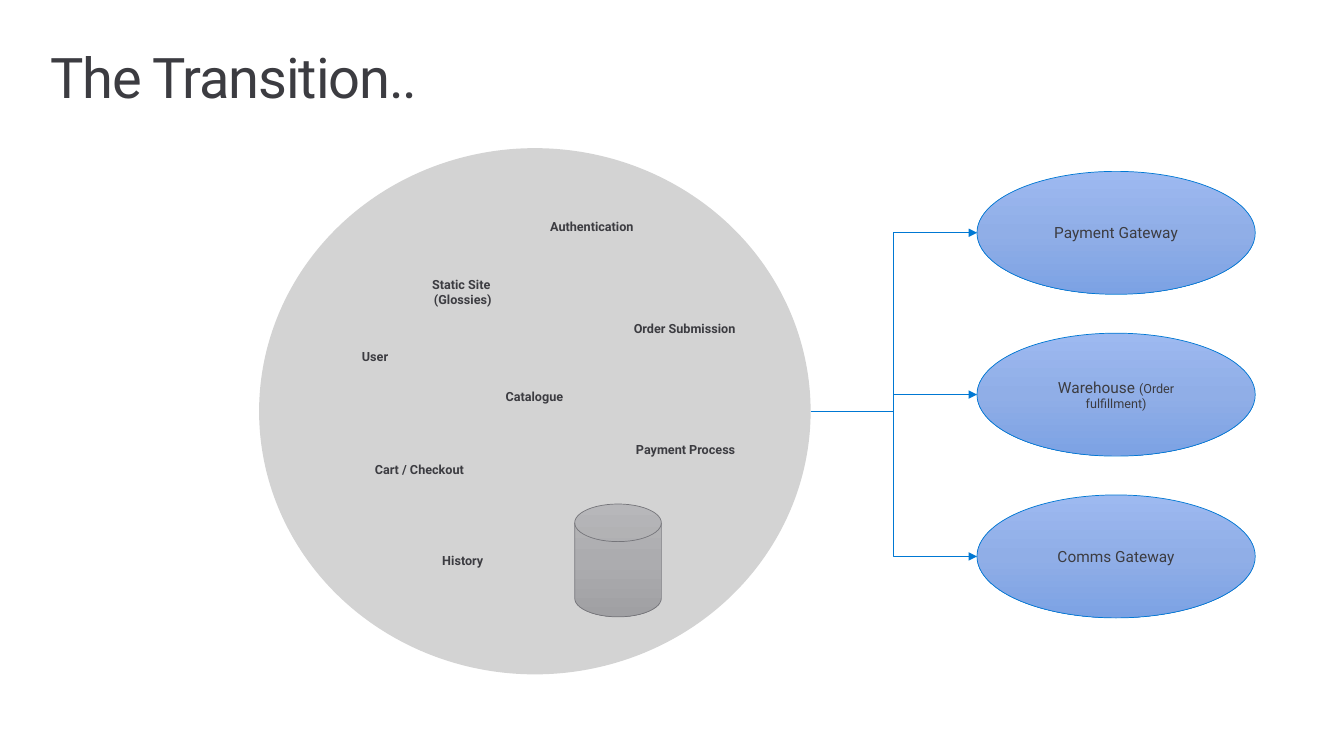
import copy

import pptx
import pptx.dml.color
import pptx.enum.shapes
import pptx.enum.text
import pptx.oxml
import pptx.oxml.ns
import pptx.util

PX = 9144
FONT = "Roboto"
INK = "3C3C41"
BLUE = "0078D3"
GREY = "D3D3D3"
BLUE_STOPS = ("9DB9F0", "90AEE7", "7CA2E4")
GREY_STOPS = ("B7B7BA", "ACACAF", "A0A0A3")
SHAPE = pptx.enum.shapes.MSO_SHAPE
ALIGN = pptx.enum.text.PP_ALIGN
ANCHOR = pptx.enum.text.MSO_ANCHOR

GATEWAYS = (
    (("Payment Gateway", 11),),
    (("Warehouse ", 11), ("(Order fulfillment)", 9)),
    (("Comms Gateway", 11),),
)
MODULES = (
    ("Static Site \v(Glossies)", 109, 107),
    ("Catalogue", 180, 211),
    ("Cart / Checkout", 66, 283),
    ("Payment Process", 330, 263),
    ("Order Submission", 329, 143),
    ("User", 22, 171),
    ("Authentication", 237, 42),
    ("History", 109, 374),
)


def px(n):
    return pptx.util.Emu(round(n * PX))


def color(value):
    return pptx.dml.color.RGBColor.from_string(value)


def style_run(r, size, bold=False):
    r.font.name = FONT
    r.font.size = pptx.util.Pt(size)
    r.font.bold = bold
    r.font.color.rgb = color(INK)


def add_shape(slide, kind, x, y, w, h, fill, line=None):
    sp = slide.shapes.add_shape(kind, px(x), px(y), px(w), px(h))
    sp.shadow.inherit = False
    if isinstance(fill, str):
        sp.fill.solid()
        sp.fill.fore_color.rgb = color(fill)
    else:
        sp.fill.gradient()
        sp.fill.gradient_angle = 270
        stop_list = sp._element.spPr.find(".//" + pptx.oxml.ns.qn("a:gsLst"))
        stop_list.insert(1, copy.deepcopy(stop_list[0]))
        for stop, position, value in zip(sp.fill.gradient_stops, (0, 0.5, 1), fill):
            stop.position = position
            stop.color.rgb = color(value)
    if line:
        sp.line.color.rgb = color(line)
        sp.line.width = pptx.util.Pt(0.5)
    else:
        sp.line.fill.background()
    return sp


def add_label(sp, parts, bold=False):
    tf = sp.text_frame
    tf.word_wrap = True
    tf.vertical_anchor = ANCHOR.MIDDLE
    p = tf.paragraphs[0]
    p.alignment = ALIGN.CENTER
    p.text = parts[0][0]
    for text, size in parts[1:]:
        p.add_run().text = text
    sizes = [size for text, size in parts]
    for i, r in enumerate(p.runs):
        style_run(r, sizes[min(i, len(sizes) - 1)], bold)


def add_title(slide, x, y, w, h):
    title = slide.shapes.title
    title.left, title.top, title.width, title.height = px(x), px(y), px(w), px(h)
    tf = title.text_frame
    tf.text = "The Transition.."
    tf.word_wrap = True
    tf.auto_size = pptx.enum.text.MSO_AUTO_SIZE.NONE
    tf.vertical_anchor = ANCHOR.TOP
    tf.margin_left = tf.margin_right = tf.margin_top = tf.margin_bottom = 0
    p = tf.paragraphs[0]
    p.alignment = ALIGN.LEFT
    p.line_spacing = 0.9
    r = p.runs[0]
    style_run(r, 40)
    r.font._element.set("spc", "-80")


def add_arrow(slide, x1, y1, x2, y2):
    cxn = slide.shapes.add_connector(
        pptx.enum.shapes.MSO_CONNECTOR.ELBOW, px(x1), px(y1), px(x2), px(y2))
    cxn.line.color.rgb = color(BLUE)
    cxn.line.width = pptx.util.Pt(0.5)
    cxn.line._get_or_add_ln().append(pptx.oxml.parse_xml(
        '<a:tailEnd %s type="triangle"/>' % pptx.oxml.ns.nsdecls("a")))
    cxn._element.spPr.append(pptx.oxml.parse_xml(
        "<a:effectLst %s/>" % pptx.oxml.ns.nsdecls("a")))


def add_gateways(slide, x, y, w, h, start_x, start_y):
    oval_h = 122
    pitch = (h - oval_h) / (len(GATEWAYS) - 1)
    for i, parts in enumerate(GATEWAYS):
        top = y + i * pitch
        oval = add_shape(slide, SHAPE.OVAL, x, top, w, oval_h, BLUE_STOPS, BLUE)
        add_label(oval, parts)
        add_arrow(slide, start_x, start_y, x, top + oval_h / 2)


def add_monolith(slide, x, y, w, h):
    add_shape(slide, SHAPE.OVAL, x, y, w, h, GREY)
    add_shape(slide, SHAPE.FLOWCHART_MAGNETIC_DISK, x + 313, y + 353, 86, 112,
              GREY_STOPS, "75757A")
    for text, dx, dy in MODULES:
        box = add_shape(slide, SHAPE.ROUNDED_RECTANGLE, x + dx, y + dy, 186, 71, GREY)
        add_label(box, ((text, 9),), bold=True)


def main():
    prs = pptx.Presentation()
    prs.slide_width, prs.slide_height = px(1333), px(750)
    slide = prs.slides.add_slide(prs.slide_layouts[5])
    add_title(slide, 50, 50, 1233, 65)
    x, y, w, h = 257, 147, 547, 522
    add_gateways(slide, 969, 170, 276, 443, x + w, y + h / 2)
    add_monolith(slide, x, y, w, h)
    prs.save("out.pptx")


if __name__ == "__main__":
    main()
